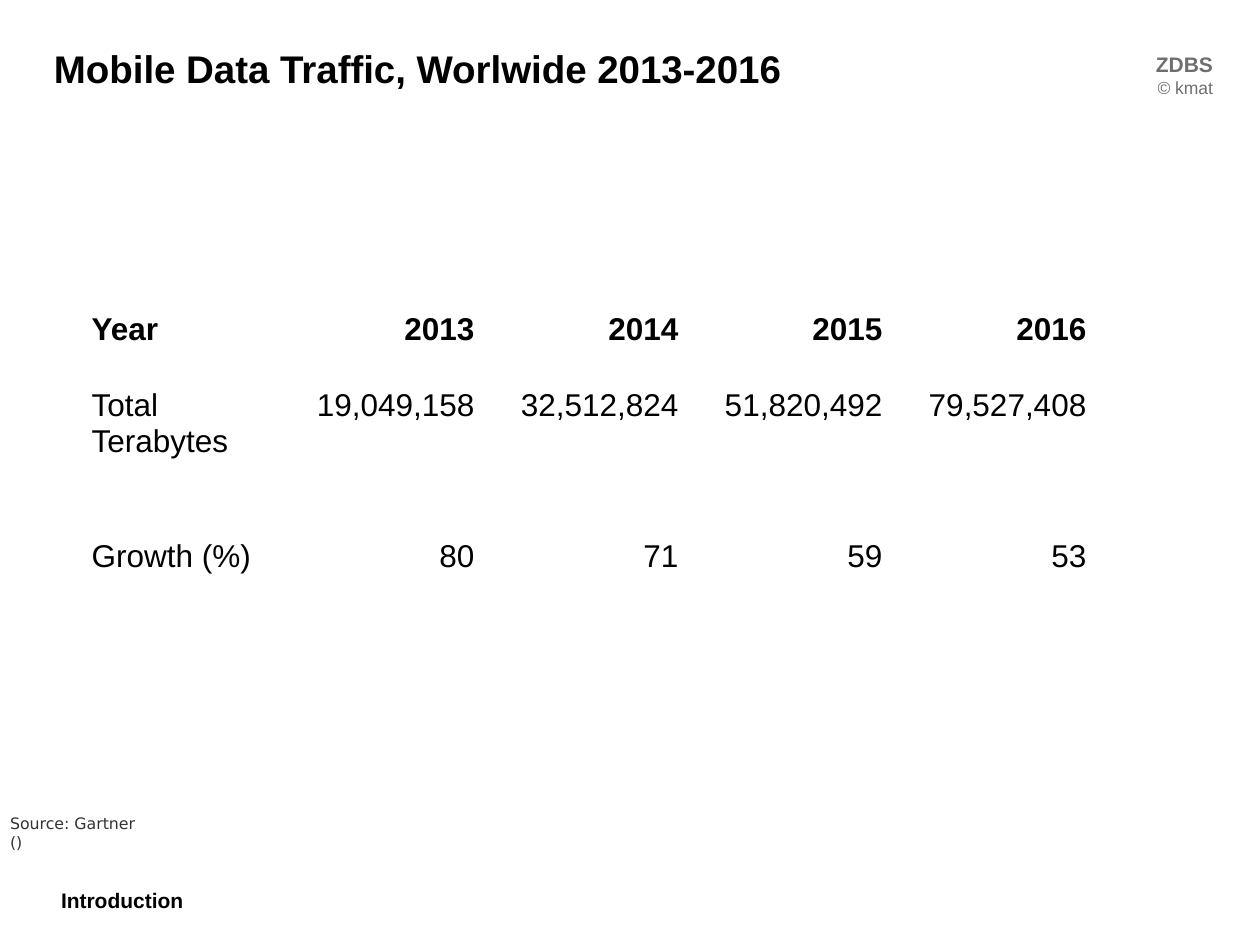
"""Build a slide with a table of mobile data traffic by year."""
from pptx import Presentation
from pptx import util as u
from pptx.dml.color import RGBColor
from pptx.enum import text

COLORS = {"black": "000000", "grey": "6E6E6E", "dark": "333333", "white": "FFFFFF"}
ROWS = [
    ["Year", "2013", "2014", "2015", "2016"],
    ["Total Terabytes", "19,049,158", "32,512,824", "51,820,492", "79,527,408"],
    ["Growth (%)", "80", "71", "59", "53"],
]
ROW_HEIGHTS = [76, 151, 76]
COL_WIDTH = 204
LEFT, RIGHT = text.PP_ALIGN.LEFT, text.PP_ALIGN.RIGHT
TOP, MIDDLE = text.MSO_ANCHOR.TOP, text.MSO_ANCHOR.MIDDLE


def px(n):
    """Turn pixels into EMU at 126 pixels to the inch."""
    return u.Emu(round(n * 914400 / 126))


def write(p, words, size, color="black", bold=False, font="Arial", align=LEFT):
    """Put one formatted run into a paragraph."""
    p.alignment = align
    r = p.add_run()
    r.text = words
    for key, value in {"name": font, "size": u.Pt(size), "bold": bold}.items():
        setattr(r.font, key, value)
    r.font.color.rgb = RGBColor.from_string(COLORS[color])


def add_text(s, box, lines, anchor=TOP, insets=(13, 6)):
    """Add a text box with one paragraph for each format dict."""
    tf = s.shapes.add_textbox(*map(px, box)).text_frame
    side, end = map(px, insets)
    frame = {"word_wrap": True, "vertical_anchor": anchor,
             "margin_left": side, "margin_right": side,
             "margin_top": end, "margin_bottom": end}
    for key, value in frame.items():
        setattr(tf, key, value)
    for i, line in enumerate(lines):
        write(tf.add_paragraph() if i else tf.paragraphs[0], **line)


def add_traffic_table(s, left, top):
    """Add the table with a bold header and right-aligned figures."""
    size = (COL_WIDTH * len(ROWS[0]), sum(ROW_HEIGHTS))
    table = s.shapes.add_table(len(ROWS), len(ROWS[0]), *map(px, (left, top, *size))).table
    table.first_row = table.horz_banding = False
    for col in table.columns:
        col.width = px(COL_WIDTH)
    for i, (values, height) in enumerate(zip(ROWS, ROW_HEIGHTS)):
        table.rows[i].height = px(height)
        for j, value in enumerate(values):
            cell = table.cell(i, j)
            cell.fill.solid()
            cell.fill.fore_color.rgb = RGBColor.from_string(COLORS["white"])
            write(cell.text_frame.paragraphs[0], value, 18, bold=i == 0,
                  align=RIGHT if j else LEFT)


def main():
    """Build and save the slide."""
    prs = Presentation()
    prs.slide_width, prs.slide_height = px(1260), px(945)
    s = prs.slides.add_slide(prs.slide_layouts[6])
    add_text(s, (48, 882, 160, 60), [dict(words="Introduction", size=12, bold=True)])
    add_text(s, (1125, 46, 101, 81), [
        dict(words="ZDBS", size=12, color="grey", bold=True, align=RIGHT),
        dict(words="© kmat", size=10, color="grey", align=RIGHT),
    ])
    add_traffic_table(s, 79, 306)
    add_text(s, (10, 823, 131, 19), [
        dict(words="Source: Gartner ()", size=9, color="dark", font="DejaVu Sans"),
    ], anchor=MIDDLE, insets=(0, 0))
    add_text(s, (54, 27, 819, 83), [
        dict(words="Mobile Data Traffic, Worlwide 2013-2016", size=22, bold=True),
    ], anchor=MIDDLE, insets=(0, 6))
    prs.save("out.pptx")


if __name__ == "__main__":
    main()
